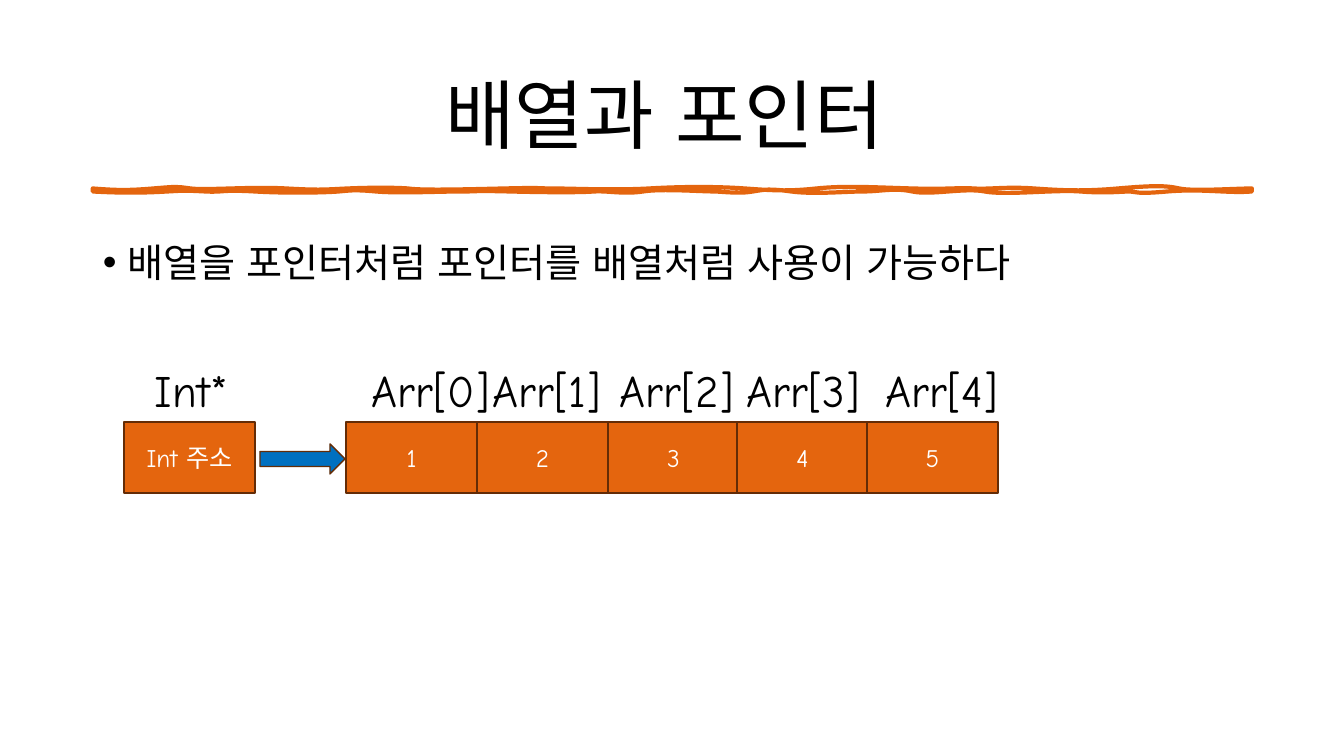
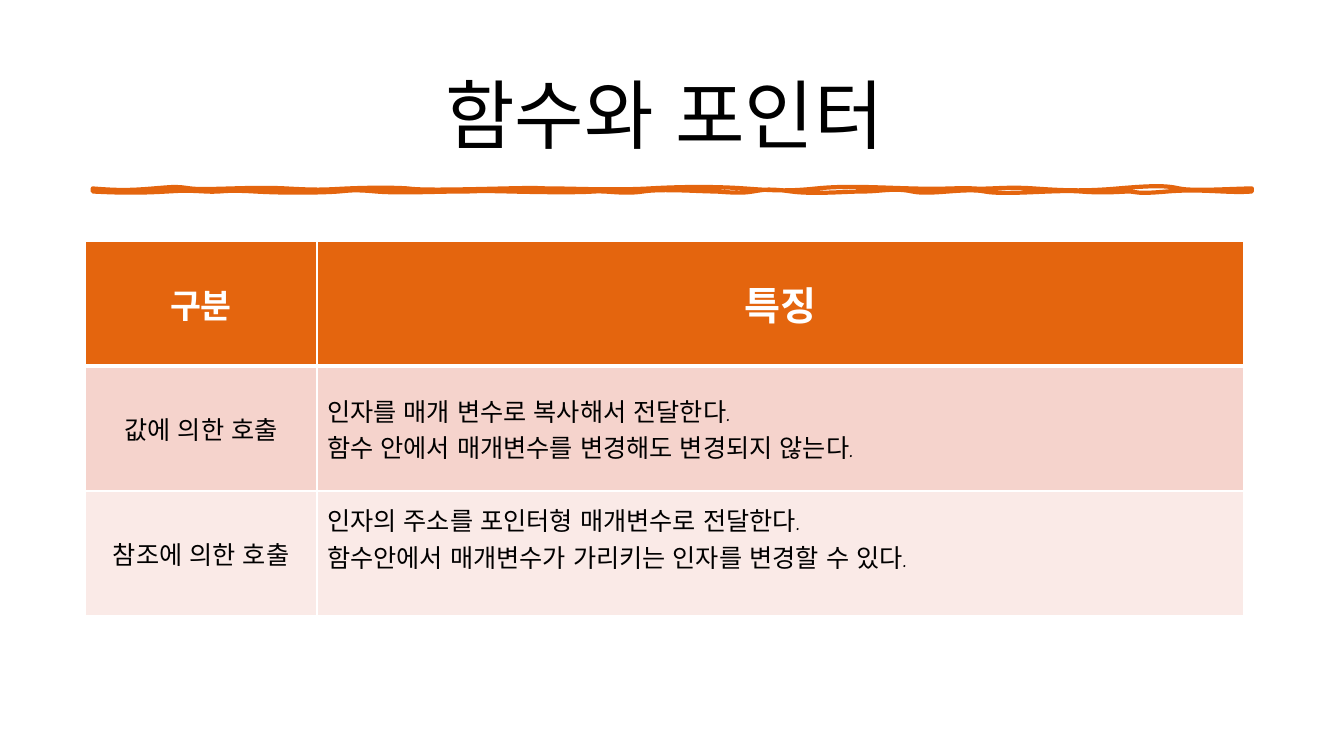
from dataclasses import dataclass
from lxml.etree import SubElement
from pptx import Presentation
from pptx.dml.color import RGBColor as RGB
from pptx.enum.lang import MSO_LANGUAGE_ID as LANG
from pptx.enum.shapes import MSO_SHAPE as SHAPE
from pptx.enum.text import MSO_ANCHOR as ANCHOR, MSO_AUTO_SIZE as AUTO, PP_ALIGN as ALIGN
from pptx.oxml.ns import qn
from pptx.util import Pt

PX = 914400 / 100.8
FINE = 9144  # a hundredth of an inch, for the wavy rule


@dataclass
class Theme:
    """Colours, fonts and type sizes of the deck."""
    main: str = "E4650E"
    edge: str = "642C06"
    arrow: str = "0070C0"
    ink: str = "000000"
    white: str = "FFFFFF"
    rows: tuple = ("F5D3CC", "FAEAE7")
    latin: str = "Comic Neue"
    hangul: str = "Noto Sans CJK KR"
    title: int = 54
    label: int = 32
    lead: int = 28
    head: int = 24
    text: int = 18


theme = Theme()

# Each curve: control x, control rise, control x, control rise, end x
LEFT, TOP = 92, 187
WAVES = [
    (TOP, [
        (117, 2, 128, 2, 152), (176, -2, 175, -2, 189), (204, 2, 249, -2, 284),
        (319, 2, 323, 1, 345), (367, -1, 392, -1, 405), (418, 2, 458, 1, 500),
        (542, -1, 530, 0, 549), (567, 0, 609, 2, 644), (678, -2, 711, -2, 739),
        (766, 2, 782, 3, 810), (839, -3, 869, -1, 905), (942, 1, 950, -1, 966),
        (982, 1, 998, -2, 1026), (1054, 2, 1075, 3, 1109),
        (1144, -3, 1157, -3, 1170), (1183, 3, 1226, 0, 1242)]),
    (TOP + 3, [
        (1242, -2, 1242, -1, 1242),
        (1219, 2, 1193, -3, 1158), (1124, 3, 1129, 0, 1121),
        (1113, 0, 1096, 2, 1072), (1048, -2, 997, 4, 977),
        (957, -4, 924, 4, 905), (887, -4, 874, 0, 856), (839, 0, 807, 3, 785),
        (763, -3, 759, -2, 747), (736, 2, 725, 1, 710), (694, 0, 657, -3, 638),
        (619, 3, 601, -1, 589), (577, 1, 546, 1, 506), (465, -1, 479, 0, 457),
        (434, 0, 396, 2, 373), (351, -2, 348, -1, 336), (324, 1, 287, 2, 253),
        (218, -2, 223, 1, 204), (184, -1, 184, -1, 166), (149, 1, 127, 2, 92)]),
    (TOP, [(92, 2, 92, 1, 92)]),
]
curves = [((ax, base + ay), (bx, base + by), (cx, base))
          for base, wave in WAVES for ax, ay, bx, by, cx in wave]


def write(frame, text, size, color, align=ALIGN.LEFT, latin=theme.latin, bold=False):
    """Fill a text frame and format its runs."""
    frame.text = text
    for para in frame.paragraphs:
        para.alignment = align
        for run in para.runs:
            font = run.font
            font.size, font.bold, font.name = Pt(size), bold, latin
            font.language_id = LANG.KOREAN
            font.color.rgb = RGB.from_string(color)
            SubElement(font._element, qn("a:ea"), typeface=theme.hangul)


def start(title):
    """Add a slide with its title and wavy rule; return its shapes."""
    shapes = deck.slides.add_slide(deck.slide_layouts[6]).shapes
    build = shapes.build_freeform(LEFT, TOP, scale=FINE)
    build.add_line_segments([curve[-1] for curve in curves], close=True)
    rule = build.convert_to_shape()
    for line, curve in zip(list(rule._element.iter(qn("a:lnTo"))), curves):
        bend = line.makeelement(qn("a:cubicBezTo"))
        for x, y in curve:
            SubElement(bend, qn("a:pt"), x=str(x - LEFT), y=str(y - TOP))
        line.getparent().replace(line, bend)
    rule.shadow.inherit = False
    rule.fill.background()
    rule.line.color.rgb = RGB.from_string(theme.main)
    rule.line.width = Pt(3)
    frame = shapes.add_textbox(*[round(v * PX) for v in (85, 40, 1159, 146)]).text_frame
    frame.word_wrap = True
    frame.vertical_anchor = ANCHOR.MIDDLE
    write(frame, title, theme.title, theme.ink, ALIGN.CENTER, theme.hangul)
    return shapes


deck = Presentation()
deck.slide_width, deck.slide_height = round(1344 * PX), round(756 * PX)

# Slide 1: arrays and pointers
shapes = start("배열과 포인터")
frame = shapes.add_textbox(*[round(v * PX) for v in (93, 229, 1159, 453)]).text_frame
frame.word_wrap = True
write(frame, "배열을 포인터처럼 포인터를 배열처럼 사용이 가능하다",
      theme.lead, theme.ink, latin=theme.hangul)
lead = frame.paragraphs[0]
lead.line_spacing, lead.space_before = 1.1, Pt(10)
props = lead._p.get_or_add_pPr()
indent = round(25 * PX)
props.set("marL", str(indent))
props.set("indent", str(-indent))
SubElement(props, qn("a:buFont"), typeface="Arial")
SubElement(props, qn("a:buChar"), char="•")

# Box left, box text, label left, label text
CELLS = [(124, "Int 주소", 145, "Int*"),
         (346, "1", 362, "Arr[0]"), (477, "2", 483, "Arr[1]"),
         (608, "3", 610, "Arr[2]"), (737, "4", 737, "Arr[3]"),
         (867, "5", 876, "Arr[4]")]
BLOCKS = [(SHAPE.RECTANGLE, (left, 422, 131, 71), theme.main, text)
          for left, text, _, _ in CELLS]
BLOCKS.append((SHAPE.RIGHT_ARROW, (260, 444, 85, 30), theme.arrow, ""))
for kind, place, color, text in BLOCKS:
    block = shapes.add_shape(kind, *[round(v * PX) for v in place])
    block.shadow.inherit = False
    block.fill.solid()
    block.fill.fore_color.rgb = RGB.from_string(color)
    block.line.color.rgb = RGB.from_string(theme.edge)
    block.line.width = Pt(1)
    if text:
        block.text_frame.vertical_anchor = ANCHOR.MIDDLE
        write(block.text_frame, text, theme.text, theme.white, ALIGN.CENTER)
for _, _, left, text in CELLS:
    label = shapes.add_textbox(*[round(v * PX) for v in (left, 358, 139, 65)])
    label.text_frame.word_wrap = True
    label.text_frame.auto_size = AUTO.SHAPE_TO_FIT_TEXT
    write(label.text_frame, text, theme.label, theme.ink)

# Slide 2: functions and pointers
shapes = start("함수와 포인터")
ROWS = [("구분", "특징"),
        ("값에 의한 호출", "인자를 매개 변수로 복사해서 전달한다.\n"
                     "함수 안에서 매개변수를 변경해도 변경되지 않는다."),
        ("참조에 의한 호출", "인자의 주소를 포인터형 매개변수로 전달한다.\n"
                      "함수안에서 매개변수가 가리키는 인자를 변경할 수 있다.")]
table = shapes.add_table(3, 2, *[round(v * PX) for v in (85, 241, 1159, 375)]).table
for col, width in zip(table.columns, (232, 927)):
    col.width = round(width * PX)
for r, row in enumerate(ROWS):
    table.rows[r].height = round(125 * PX)
    for c, text in enumerate(row):
        cell = table.cell(r, c)
        cell.vertical_anchor = ANCHOR.MIDDLE
        head = r == 0
        size = (theme.head, theme.lead)[c] if head else theme.text
        write(cell.text_frame, text, size, theme.white if head else theme.ink,
              ALIGN.CENTER if head or c == 0 else ALIGN.LEFT, bold=head)
        props = cell._tc.get_or_add_tcPr()
        for side in "LRTB":
            thick = (head and side == "B") or (r == 1 and side == "T")
            line = SubElement(props, qn(f"a:ln{side}"), w=str(Pt(3 if thick else 1)))
            SubElement(SubElement(line, qn("a:solidFill")), qn("a:srgbClr"),
                       val=theme.white)
        cell.fill.solid()
        cell.fill.fore_color.rgb = RGB.from_string((theme.main, *theme.rows)[r])
table.cell(2, 1).margin_bottom = round(36 * PX)

deck.save("out.pptx")
